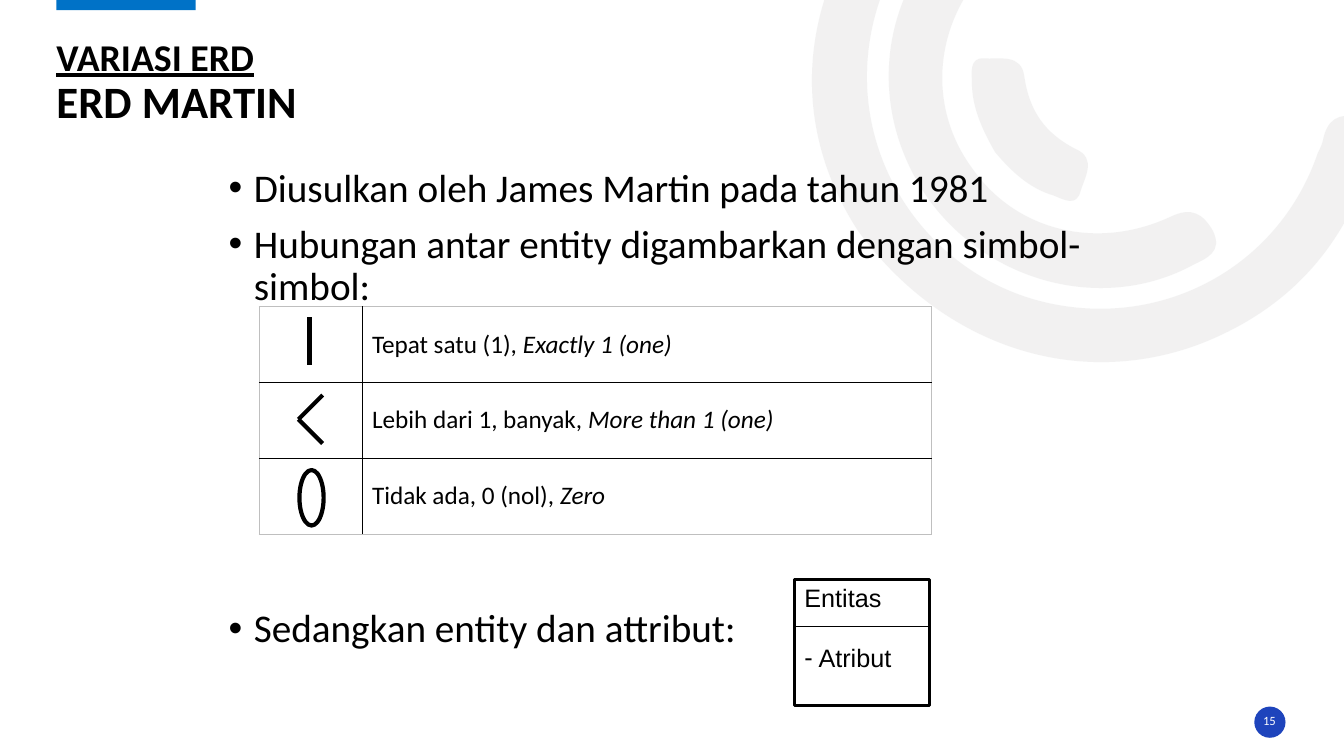
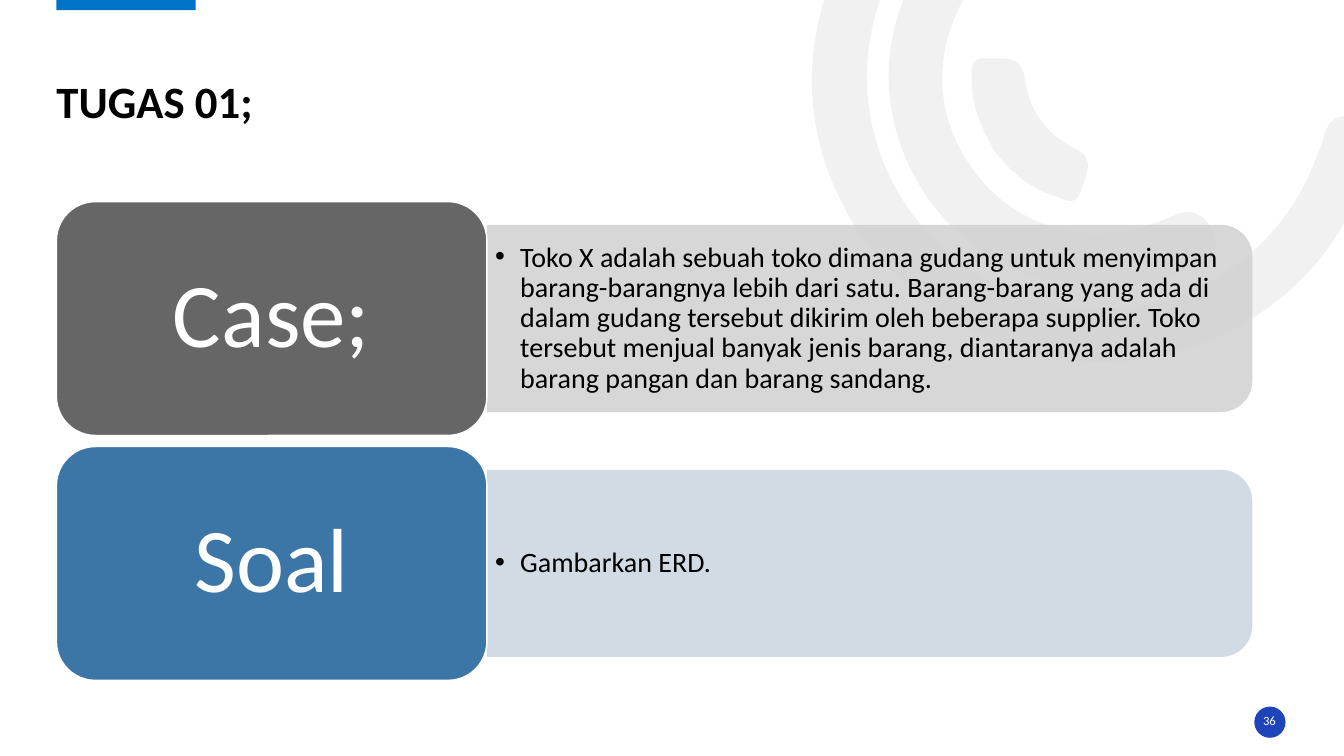
from lxml import etree
from pptx import Presentation
from pptx.dml.color import RGBColor
from pptx.enum.shapes import MSO_CONNECTOR, MSO_SHAPE
from pptx.enum.text import MSO_ANCHOR, MSO_AUTO_SIZE, PP_ALIGN
from pptx.oxml.ns import qn
from pptx.util import Inches, Pt

RECTANGLE = MSO_SHAPE.RECTANGLE
OVAL = MSO_SHAPE.OVAL
ROUNDED = MSO_SHAPE.ROUNDED_RECTANGLE
ROUNDED_TOP = MSO_SHAPE.ROUND_2_SAME_RECTANGLE
STRAIGHT = MSO_CONNECTOR.STRAIGHT
TOP, MIDDLE, BOTTOM = MSO_ANCHOR.TOP, MSO_ANCHOR.MIDDLE, MSO_ANCHOR.BOTTOM
LEFT, CENTER = PP_ALIGN.LEFT, PP_ALIGN.CENTER
NO_AUTOFIT = MSO_AUTO_SIZE.NONE

BLACK = RGBColor(0x00, 0x00, 0x00)
WHITE = RGBColor(0xFF, 0xFF, 0xFF)
HAIRLINE = RGBColor(0xBF, 0xBF, 0xBF)
SWIRL = RGBColor(0xE7, 0xE6, 0xE6)
ACCENT = RGBColor(0x00, 0x72, 0xC7)
BADGE = RGBColor(0x1E, 0x44, 0xBC)
CASE_TILE = RGBColor(0x66, 0x66, 0x66)
CASE_BAND = RGBColor(0xD3, 0xD3, 0xD3)
TASK_TILE = RGBColor(0x3C, 0x76, 0xA6)
TASK_BAND = RGBColor(0xCE, 0xD6, 0xE1)

FONT, DIAGRAM_FONT = "Calibri", "Arial"
WIDTH, HEIGHT = 13.33, 7.5
MARGIN = 0.56
TITLE_FRAME = (MARGIN, 0.26, 12.19, 1.01)
BADGE_FRAME = (12.44, 7.01, 0.31, 0.31)
NUMBER_FRAME = (12.43, 7.06, 0.32, 0.2)
INDENT = 0.25
TIGHT = 0.9

TABLE_LEFT, TABLE_TOP = 2.57, 3.04
COLUMNS = (1.02, 5.65)
ROW = 2.26 / 3

TILE_TOP, TILE_WIDTH, TILE_HEIGHT, TILE_GAP = 2, 4.27, 2.32, 0.11
BAND_WIDTH, BAND_HEIGHT = 7.59, TILE_HEIGHT * 0.8

ARCS = (
    ((8.51, 2.29), (7.99, 1.49), (7.87, 0.5), (8.38, -0.5),
     (8.9, -1.52), (9.76, -2.03), (10.9, -2.07),
     (11.05, -2.07), (11.21, -2.1), (11.31, -1.95),
     (11.44, -1.75), (11.27, -1.54), (10.98, -1.54),
     (9.67, -1.54), (8.65, -0.59), (8.6, 0.68),
     (8.56, 1.81), (9.36, 2.81), (10.46, 3.02),
     (11.6, 3.24), (12.7, 2.61), (13.07, 1.52),
     (13.09, 1.48), (13.11, 1.44), (13.12, 1.4),
     (13.16, 1.19), (13.27, 1.11), (13.49, 1.17),
     (13.73, 1.24), (13.67, 1.41), (13.61, 1.56),
     (13.34, 2.45), (12.78, 3.07), (11.91, 3.41),
     (10.7, 3.87), (9.36, 3.45), (8.51, 2.29)),
    ((9.22, 1.99), (8.62, 1.15), (8.69, 0.07), (9.4, -0.68),
     (9.51, -0.79), (9.62, -0.95), (9.8, -0.78),
     (9.95, -0.64), (9.97, -0.5), (9.79, -0.32),
     (9.25, 0.26), (9.2, 1.08), (9.65, 1.68),
     (10.08, 2.29), (10.88, 2.49), (11.61, 2.15),
     (11.82, 2.05), (11.93, 2.12), (12.03, 2.29),
     (12.13, 2.5), (11.97, 2.56), (11.83, 2.63),
     (10.96, 3.1), (9.83, 2.82), (9.22, 1.99)),
    ((9.87, 1.51), (9.75, 1.3), (9.64, 1.07), (9.64, 0.82),
     (9.64, 0.73), (9.61, 0.57), (9.76, 0.58),
     (9.92, 0.59), (10.13, 0.53), (10.16, 0.76),
     (10.21, 1.1), (10.36, 1.32), (10.67, 1.48),
     (10.88, 1.57), (10.76, 1.76), (10.72, 1.89),
     (10.68, 2.06), (10.55, 1.98), (10.45, 1.94),
     (10.21, 1.87), (10.03, 1.7), (9.87, 1.51)),
)

SYMBOL_MEANINGS = (
    ("Tepat satu (1), ", "Exactly 1 (one)"),
    ("Lebih dari 1, banyak, ", "More than 1 (one)"),
    ("Tidak ada, 0 (nol), ", "Zero"),
)
MARTIN_POINTS = (
    ("Diusulkan oleh James Martin pada tahun 1981", 0),
    ("Hubungan antar entity digambarkan dengan simbol-simbol:", 10),
    ("Sedangkan entity dan attribut:", 214),
)
CASE_TEXT = (
    "Toko X adalah sebuah toko dimana gudang untuk menyimpan "
    "barang-barangnya lebih dari satu. Barang-barang yang ada di dalam "
    "gudang tersebut dikirim oleh beberapa supplier. Toko tersebut menjual "
    "banyak jenis barang, diantaranya adalah barang pangan dan barang sandang."
)


def inches(*lengths):
    """Convert plain numbers to inch lengths."""
    return [Inches(length) for length in lengths]


def add_span(para, text, size, color=BLACK, font=FONT, bold=None, italic=None, underline=None):
    """Append one formatted run to a paragraph."""
    span = para.add_run()
    span.text = text
    span.font.name, span.font.size = font, Pt(size)
    span.font.color.rgb = color
    span.font.bold, span.font.italic, span.font.underline = bold, italic, underline


def set_bullet(para, mark, indent):
    """Give a paragraph a hanging bullet."""
    props = para._p.get_or_add_pPr()
    props.set("marL", str(Inches(indent)))
    props.set("indent", str(-Inches(indent)))
    etree.SubElement(props, qn("a:buFont")).set("typeface", DIAGRAM_FONT)
    etree.SubElement(props, qn("a:buChar")).set("char", mark)


def set_frame(frame, anchor, across=0.1, down=0.05):
    """Set wrapping, anchor and margins of a text frame."""
    frame.auto_size = NO_AUTOFIT
    frame.word_wrap = True
    frame.vertical_anchor = anchor
    frame.margin_left = frame.margin_right = Inches(across)
    frame.margin_top = frame.margin_bottom = Inches(down)


def style_shape(shape, fill=None, line=None, weight=1, alpha=None):
    """Set the fill, outline and opacity of a shape without shadow."""
    shape.shadow.inherit = False
    if fill is None:
        shape.fill.background()
    else:
        shape.fill.solid()
        shape.fill.fore_color.rgb = fill
    if line is None:
        shape.line.fill.background()
    else:
        shape.line.color.rgb = line
        shape.line.width = Pt(weight)
    if alpha:
        for color in shape._element.spPr.iter(qn("a:srgbClr")):
            etree.SubElement(color, qn("a:alpha")).set("val", str(alpha * 1000))


def add_box(slide, kind, frame, **style):
    """Add a styled preset shape."""
    box = slide.shapes.add_shape(kind, *inches(*frame))
    style_shape(box, **style)
    return box


def add_label(box, text, size):
    """Write white centred text inside a shape."""
    set_frame(box.text_frame, MIDDLE, 0, 0)
    para = box.text_frame.paragraphs[0]
    para.alignment, para.line_spacing = CENTER, TIGHT
    add_span(para, text, size, WHITE)


def add_line(slide, start, end, weight):
    """Add a black straight line without shadow."""
    line = slide.shapes.add_connector(STRAIGHT, *inches(*start, *end))
    line.line.color.rgb = BLACK
    line.line.width = Pt(weight)
    etree.SubElement(line._element.spPr, qn("a:effectLst"))


def add_bullets(slide, frame, points, size, anchor=TOP, across=0.1):
    """Add a text box of bulleted paragraphs with their space before."""
    text_frame = slide.shapes.add_textbox(*inches(*frame)).text_frame
    set_frame(text_frame, anchor, across)
    for index, (text, space) in enumerate(points):
        para = text_frame.add_paragraph() if index else text_frame.paragraphs[0]
        set_bullet(para, "•", INDENT)
        para.line_spacing = TIGHT
        if space:
            para.space_before = Pt(space)
        add_span(para, text, size)


def add_arc(slide, nodes):
    """Add one translucent arc of the corner swirl as cubic curves."""
    builder = slide.shapes.build_freeform(*inches(*nodes[0]))
    builder.add_line_segments([inches(*node) for node in nodes[1:]], close=True)
    arc = builder.convert_to_shape()
    segments = list(arc._element.iter(qn("a:lnTo")))[:len(nodes) - 1]
    for first in range(0, len(segments), 3):
        curve = etree.Element(qn("a:cubicBezTo"))
        segments[first].addprevious(curve)
        for segment in segments[first:first + 3]:
            curve.append(segment[0])
            segment.getparent().remove(segment)
    style_shape(arc, fill=SWIRL, alpha=53)


def decorate_layout(page):
    """Draw the shared decoration and hand it to the layout of the page."""
    layout = page.slide_layout
    for holder in list(layout.placeholders)[1:]:
        holder._element.getparent().remove(holder._element)
    for nodes in ARCS:
        add_arc(page, nodes)
    add_box(page, RECTANGLE, (MARGIN, 0, 1.38, 0.1), fill=ACCENT)
    add_box(page, OVAL, BADGE_FRAME, fill=BADGE)
    for shape in list(page.shapes):
        if not shape.is_placeholder:
            layout.shapes.element.append(shape._element)


def add_page(deck, number, title_spans):
    """Add a title-only slide with its title and page number."""
    page = deck.slides.add_slide(deck.slide_layouts[5])
    if len(deck.slides) == 1:
        decorate_layout(page)
    add_label(page.shapes.add_textbox(*inches(*NUMBER_FRAME)), number, 9)
    title = page.shapes.title
    title.left, title.top, title.width, title.height = inches(*TITLE_FRAME)
    set_frame(title.text_frame, BOTTOM, 0, 0)
    para = title.text_frame.paragraphs[0]
    para.alignment, para.line_spacing = LEFT, TIGHT
    for index, (text, size, underline) in enumerate(title_spans):
        if index:
            para.add_line_break()
        add_span(para, text, size, bold=True, underline=underline)
    return page


def set_borders(cell, sides):
    """Draw cell borders, black inside the table and grey around it."""
    props = cell._tc.get_or_add_tcPr()
    for tag, inner in sides:
        border = etree.SubElement(props, qn(tag))
        border.set("w", str(Pt(0.5)))
        fill = etree.SubElement(border, qn("a:solidFill"))
        color = BLACK if inner else HAIRLINE
        etree.SubElement(fill, qn("a:srgbClr")).set("val", str(color))


def add_symbol_table(slide):
    """Add the table that explains the relation symbols."""
    count = len(SYMBOL_MEANINGS)
    frame = inches(TABLE_LEFT, TABLE_TOP, sum(COLUMNS), ROW * count)
    table = slide.shapes.add_table(count, len(COLUMNS), *frame).table
    table.first_row = table.horz_banding = False
    for column, width in zip(table.columns, COLUMNS):
        column.width = Inches(width)
    for row, (meaning, english) in enumerate(SYMBOL_MEANINGS):
        table.rows[row].height = Inches(ROW)
        for column in range(len(COLUMNS)):
            cell = table.cell(row, column)
            set_borders(cell, (("a:lnL", column > 0), ("a:lnR", column < len(COLUMNS) - 1),
                               ("a:lnT", row > 0), ("a:lnB", row < count - 1)))
            cell.fill.background()
            cell.vertical_anchor = MIDDLE
        para = table.cell(row, 1).text_frame.paragraphs[0]
        add_span(para, meaning, 18)
        add_span(para, english, 18, italic=True)


def add_symbols(slide):
    """Draw the bar, the crow's foot and the oval in the first column."""
    x = TABLE_LEFT + COLUMNS[0] / 2
    one, many, zero = (TABLE_TOP + ROW * (row + 0.5) for row in range(3))
    half_width, half_height = 0.12, 0.24
    bar = x - 0.01
    add_line(slide, (bar, one - 0.27), (bar, one + 0.2), 3)
    for end in (many - half_height, many + half_height):
        add_line(slide, (x - half_width, many - 0.01), (x + half_width, end - 0.01), 3)
    add_box(slide, OVAL, (x - half_width + 0.01, zero - 0.26, 2 * half_width, 0.55),
            line=BLACK, weight=3)


def add_entity(slide, left, top, width, height):
    """Draw an entity box with its attribute."""
    box = add_box(slide, RECTANGLE, (left, top, width, height), line=BLACK, weight=2.25)
    set_frame(box.text_frame, TOP, down=0.03)
    name = box.text_frame.paragraphs[0]
    attribute = box.text_frame.add_paragraph()
    set_bullet(attribute, "-", 0.14)
    attribute.space_before = Pt(21)
    for para, text in ((name, "Entitas"), (attribute, "Atribut")):
        para.alignment = LEFT
        add_span(para, text, 18, font=DIAGRAM_FONT)
    divider = top + 0.47
    add_line(slide, (left, divider), (left + width, divider), 0.75)


def add_task_row(slide, row, heading, text, tile_color, band_color):
    """Add a heading tile with its text band."""
    top = TILE_TOP + row * (TILE_HEIGHT + TILE_GAP)
    middle = top + TILE_HEIGHT / 2
    band_left = MARGIN + TILE_WIDTH
    upright = (band_left + (BAND_WIDTH - BAND_HEIGHT) / 2, middle - BAND_WIDTH / 2,
               BAND_HEIGHT, BAND_WIDTH)
    band = add_box(slide, ROUNDED_TOP, upright, fill=band_color, alpha=90)
    band.rotation = 90
    add_bullets(slide, (band_left, middle - BAND_HEIGHT / 2, BAND_WIDTH - 0.1, BAND_HEIGHT),
                [(text, 0)], 20, MIDDLE, 0.08)
    tile = add_box(slide, ROUNDED, (MARGIN, top, TILE_WIDTH, TILE_HEIGHT),
                   fill=tile_color, line=WHITE)
    add_label(tile, heading, 65)


def build_martin(deck):
    """Build the slide on the Martin notation."""
    page = add_page(deck, "15", (("VARIASI ERD", 27, True), ("ERD MARTIN", 32, None)))
    add_bullets(page, (2.17, 1.62, 9, 5.38), MARTIN_POINTS, 28)
    add_symbol_table(page)
    add_symbols(page)
    add_entity(page, 7.88, 5.75, 1.34, 1.25)


def build_task(deck):
    """Build the assignment slide."""
    page = add_page(deck, "36", (("TUGAS 01;", 32, None),))
    add_task_row(page, 0, "Case;", CASE_TEXT, CASE_TILE, CASE_BAND)
    add_task_row(page, 1, "Soal", "Gambarkan ERD.", TASK_TILE, TASK_BAND)


def main():
    """Build and save the deck."""
    deck = Presentation()
    deck.slide_width, deck.slide_height = inches(WIDTH, HEIGHT)
    build_martin(deck)
    build_task(deck)
    deck.save("out.pptx")


if __name__ == "__main__":
    main()
